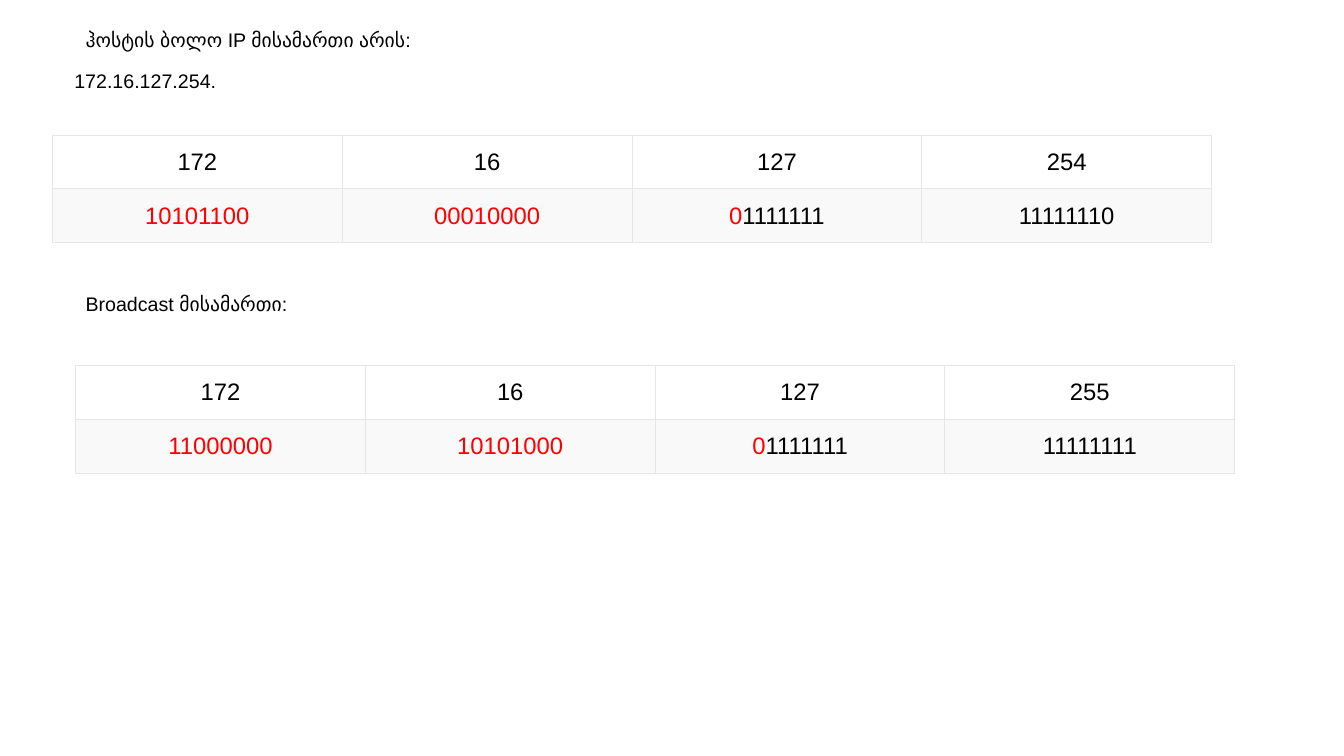
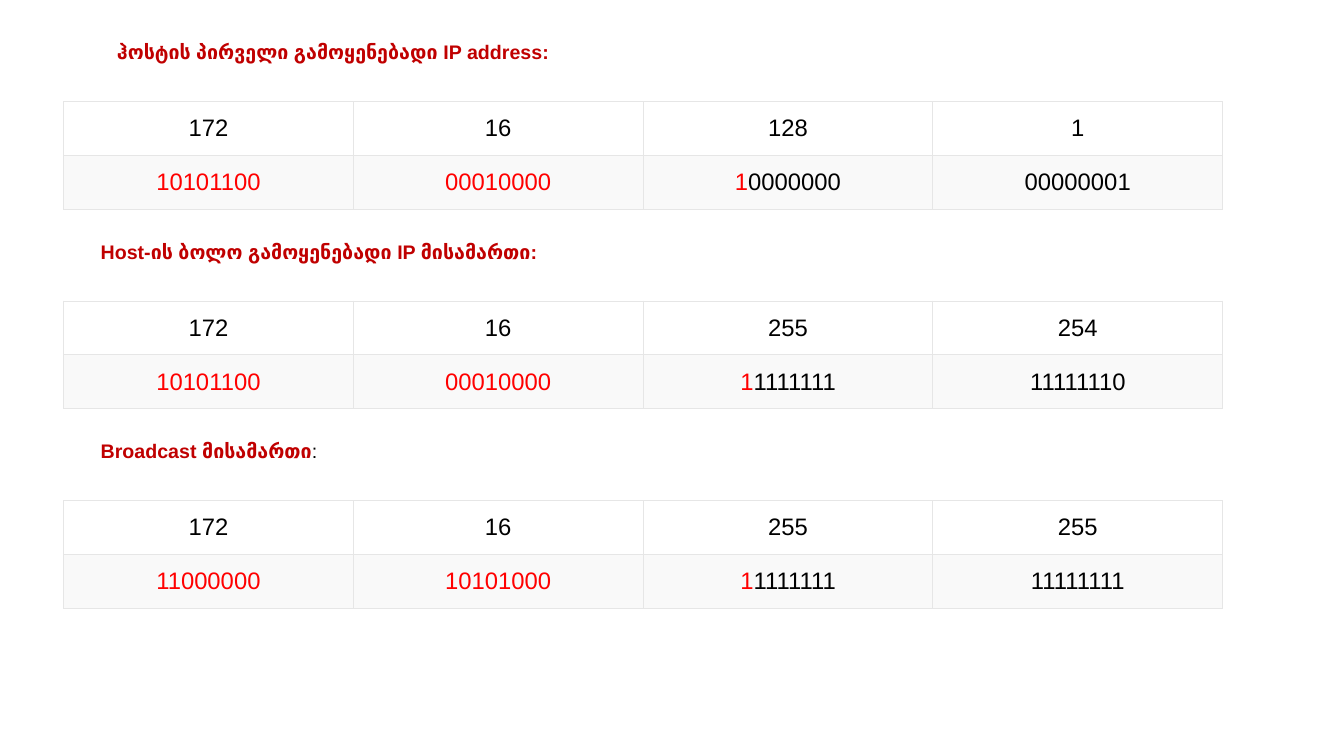
from dataclasses import dataclass

from lxml import etree
from pptx import Presentation
from pptx.dml.color import RGBColor
from pptx.enum.text import MSO_ANCHOR, MSO_AUTO_SIZE, PP_ALIGN
from pptx.oxml.ns import qn
from pptx.util import Pt

LEFT, CENTER = PP_ALIGN.LEFT, PP_ALIGN.CENTER
TOP, MIDDLE = MSO_ANCHOR.TOP, MSO_ANCHOR.MIDDLE
NO_AUTOFIT = MSO_AUTO_SIZE.NONE

TITLE_ONLY = 5
OCTET_BITS = 8
NETWORK_BITS = 17
CAPTION_WIDTH, CAPTION_HEIGHT = 400, 28.8
ADDRESS_WIDTH = 870
COLUMN_WIDTH, ROW_HEIGHT = 207, 38.4


@dataclass(frozen=True)
class Theme:
    font: str = "Arial"
    caption_size: float = 14
    octet_size: float = 17
    border_width: float = 0.75
    text: str = "000000"
    network: str = "FF0000"
    heading: str = "C00000"
    border: str = "E6E6E6"
    row_fills: tuple = ("FFFFFF", "F9F9F9")


THEME = Theme()
CAPTION_FRAME = {"word_wrap": True, "auto_size": NO_AUTOFIT,
                 "vertical_anchor": TOP,
                 "margin_left": Pt(7.2), "margin_right": Pt(7.2),
                 "margin_top": Pt(3.6), "margin_bottom": Pt(3.6)}
CELL_FORMAT = {"vertical_anchor": MIDDLE,
               "margin_left": Pt(14.4), "margin_right": Pt(14.4),
               "margin_top": Pt(8.64), "margin_bottom": Pt(8.64)}


def apply_format(target, values):
    for name, value in values.items():
        setattr(target, name, value)


def add_run(paragraph, text, size, color, bold=False):
    run = paragraph.add_run()
    run.text = text
    apply_format(run.font, {"name": THEME.font, "size": Pt(size), "bold": bold})
    run.font.color.rgb = RGBColor.from_string(color)


def write_caption(caption, parts):
    """Fill a title or text box with (text, color, bold) parts."""
    apply_format(caption.text_frame, CAPTION_FRAME)
    paragraph = caption.text_frame.paragraphs[0]
    paragraph.alignment = LEFT
    for text, color, bold in parts:
        add_run(paragraph, text, THEME.caption_size, color, bold)


def add_title(slide, left, top, parts):
    title = slide.shapes.title
    apply_format(title, {"left": Pt(left), "top": Pt(top),
                         "width": Pt(CAPTION_WIDTH), "height": Pt(CAPTION_HEIGHT)})
    write_caption(title, parts)


def add_caption(slide, left, top, parts, width=CAPTION_WIDTH):
    caption = slide.shapes.add_textbox(Pt(left), Pt(top), Pt(width), Pt(CAPTION_HEIGHT))
    write_caption(caption, parts)


def add_borders(cell):
    properties = cell._tc.get_or_add_tcPr()
    for position, side in enumerate(("lnL", "lnR", "lnT", "lnB")):
        line = etree.Element(qn(f"a:{side}"), w=str(int(Pt(THEME.border_width))))
        fill = etree.SubElement(line, qn("a:solidFill"))
        etree.SubElement(fill, qn("a:srgbClr"), val=THEME.border)
        properties.insert(position, line)


def fill_cell(cell, parts, fill):
    apply_format(cell, CELL_FORMAT)
    cell.fill.solid()
    cell.fill.fore_color.rgb = RGBColor.from_string(fill)
    add_borders(cell)
    paragraph = cell.text_frame.paragraphs[0]
    paragraph.alignment = CENTER
    for text, color in parts:
        if text:
            add_run(paragraph, text, THEME.octet_size, color)


def split_octet(bits, index):
    """Colour the part of an octet that lies in the network prefix."""
    cut = min(max(NETWORK_BITS - OCTET_BITS * index, 0), OCTET_BITS)
    return [(bits[:cut], THEME.network), (bits[cut:], THEME.text)]


def add_address_table(slide, left, top, decimal, binary):
    octets = decimal.split(".")
    table = slide.shapes.add_table(
        2, len(octets), Pt(left), Pt(top),
        Pt(COLUMN_WIDTH * len(octets)), Pt(ROW_HEIGHT * 2)).table
    apply_format(table, {"first_row": False, "horz_banding": False})
    for row in table.rows:
        row.height = Pt(ROW_HEIGHT)
    for index, (octet, bits) in enumerate(zip(octets, binary.split("."))):
        table.columns[index].width = Pt(COLUMN_WIDTH)
        rows = ([(octet, THEME.text)], split_octet(bits, index))
        for row_index, parts in enumerate(rows):
            fill_cell(table.cell(row_index, index), parts, THEME.row_fills[row_index])


def build_first_subnet(slide):
    def plain(text):
        return [(text, THEME.text, False)]

    add_title(slide, 54, 16.5, plain("ჰოსტის ბოლო IP მისამართი არის:"))
    add_caption(slide, 46, 45.4, plain("172.16.127.254."), ADDRESS_WIDTH)
    add_address_table(slide, 37.5, 96.5, "172.16.127.254",
                      "10101100.00010000.01111111.11111110")
    add_caption(slide, 54, 205.2, plain("Broadcast მისამართი:"))
    add_address_table(slide, 54, 261.2, "172.16.127.255",
                      "11000000.10101000.01111111.11111111")


def build_second_subnet(slide):
    left, first_caption, first_table, pitch = 45.4, 25.2, 72.6, 142.5
    sections = [
        (add_title, 76.3, [("ჰოსტის პირველი გამოყენებადი IP address:", THEME.heading, True)],
         "172.16.128.1", "10101100.00010000.10000000.00000001"),
        (add_caption, 64.8, [("Host-ის ბოლო გამოყენებადი IP მისამართი:", THEME.heading, True)],
         "172.16.255.254", "10101100.00010000.11111111.11111110"),
        (add_caption, 64.8, [("Broadcast მისამართი", THEME.heading, True),
                             (":", THEME.text, False)],
         "172.16.255.255", "11000000.10101000.11111111.11111111"),
    ]
    for index, (add_heading, heading_left, parts, decimal, binary) in enumerate(sections):
        offset = pitch * index
        add_heading(slide, heading_left, first_caption + offset, parts)
        add_address_table(slide, left, first_table + offset, decimal, binary)


def main():
    presentation = Presentation()
    apply_format(presentation, {"slide_width": Pt(960), "slide_height": Pt(540)})
    for build in (build_first_subnet, build_second_subnet):
        build(presentation.slides.add_slide(presentation.slide_layouts[TITLE_ONLY]))
    presentation.save("out.pptx")


if __name__ == "__main__":
    main()
